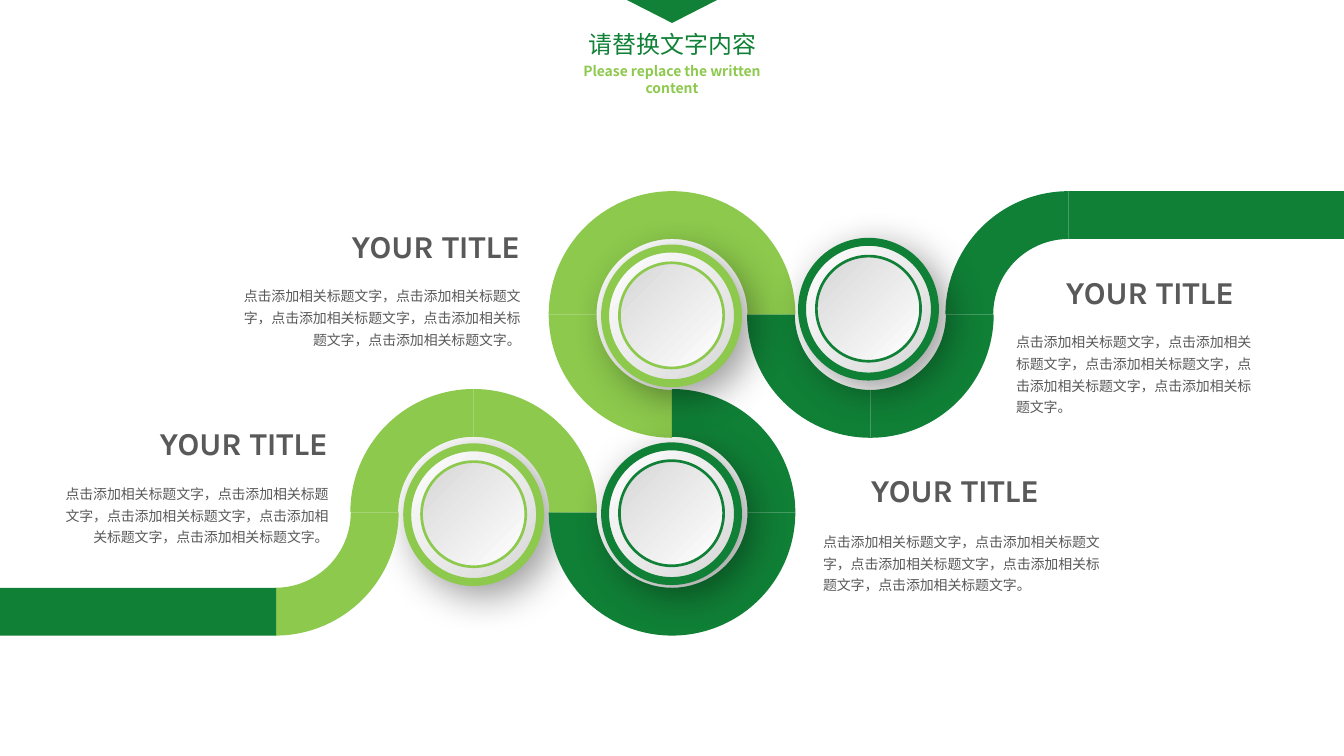
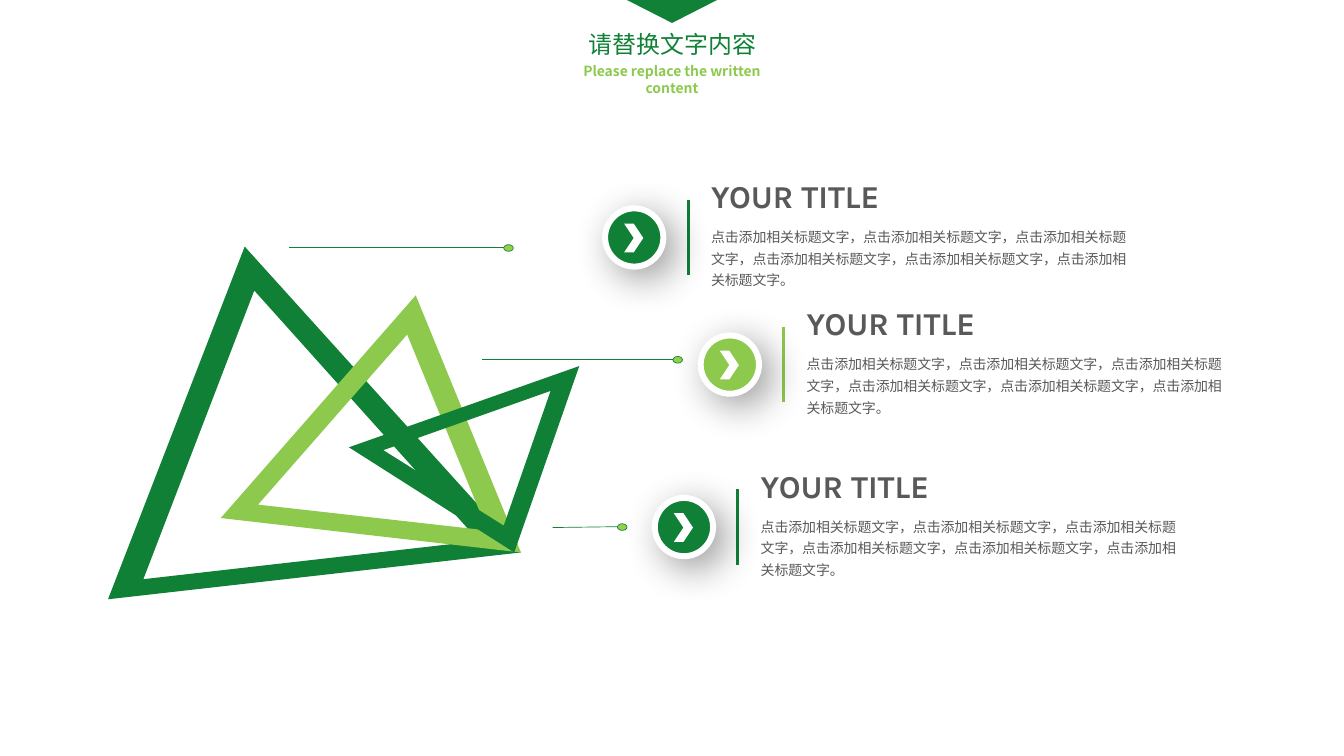
import math
from dataclasses import dataclass
from typing import Optional

from lxml import etree
from pptx import Presentation
from pptx.dml.color import RGBColor
from pptx.enum.shapes import MSO_CONNECTOR, MSO_SHAPE
from pptx.enum.text import MSO_AUTO_SIZE, PP_ALIGN
from pptx.oxml.ns import qn
from pptx.util import Emu, Inches, Pt

ELLIPSE, RECTANGLE = MSO_SHAPE.OVAL, MSO_SHAPE.RECTANGLE
TRIANGLE, CHEVRON = MSO_SHAPE.ISOSCELES_TRIANGLE, MSO_SHAPE.CHEVRON
STRAIGHT = MSO_CONNECTOR.STRAIGHT
LEFT, CENTER, RIGHT = PP_ALIGN.LEFT, PP_ALIGN.CENTER, PP_ALIGN.RIGHT
FIT_TEXT = MSO_AUTO_SIZE.SHAPE_TO_FIT_TEXT

Point = tuple[float, float]


@dataclass(frozen=True)
class Theme:
    dark: str = "108036"
    header: str = "108136"
    light: str = "8CC94C"
    dot: str = "92D050"
    text: str = "595959"
    white: str = "FFFFFF"
    silver: str = "D7D7D7"
    latin: str = "Karla"
    cjk: str = "Noto Sans CJK SC"
    heading_size: float = 24
    header_size: float = 18
    body_size: float = 10.5
    body_spacing: float = 1.3


@dataclass(frozen=True)
class Box:
    left: float
    top: float
    width: float
    height: float

    def emu(self) -> tuple[Emu, Emu, Emu, Emu]:
        return (Inches(self.left), Inches(self.top),
                Inches(self.width), Inches(self.height))


@dataclass(frozen=True)
class TextStyle:
    font: str
    size: float
    color: str
    bold: bool = False
    align: PP_ALIGN = LEFT
    spacing: Optional[float] = None
    inset: float = 0.1
    wrap: bool = True


@dataclass(frozen=True)
class Bend:
    """Quarter rings around one grid point; quarters run clockwise from lower right."""
    column: int
    row: int
    quarters: tuple[int, ...]
    color: str


@dataclass(frozen=True)
class Disc:
    left: float
    top: float
    color: str


@dataclass(frozen=True)
class Caption:
    heading: Box
    body: Box
    align: PP_ALIGN


@dataclass(frozen=True)
class Frame:
    outer: tuple[Point, ...]
    inner: tuple[Point, ...]
    color: str


@dataclass(frozen=True)
class Pointer:
    start: Point
    end: Point


@dataclass(frozen=True)
class Entry:
    x: float
    y: float
    color: str


THEME = Theme()
SLIDE_W, SLIDE_H = 14.06, 7.91
CLAUSE = "点击添加相关标题文字"
HEADING = "YOUR TITLE"

# Ribbon grid
GRID_LEFT, GRID_TOP, COLUMN, ROW = 2.88, 3.29, 2.075, 2.07
OUTER_R, INNER_R = 1.29, 0.79
BAND = OUTER_R - INNER_R
LOWER_RIGHT, LOWER_LEFT, UPPER_LEFT, UPPER_RIGHT = range(4)

BENDS = (
    Bend(4, 0, (UPPER_LEFT,), THEME.dark),
    Bend(3, 0, (LOWER_RIGHT, LOWER_LEFT), THEME.dark),
    Bend(2, 0, (UPPER_RIGHT, UPPER_LEFT, LOWER_LEFT), THEME.light),
    Bend(2, 1, (UPPER_RIGHT, LOWER_RIGHT, LOWER_LEFT), THEME.dark),
    Bend(1, 1, (UPPER_RIGHT, UPPER_LEFT), THEME.light),
    Bend(0, 1, (LOWER_RIGHT,), THEME.light),
)
BACK_DISC = Disc(4.26, 4.68, THEME.light)
FRONT_DISCS = (
    Disc(6.33, 4.67, THEME.dark),
    Disc(6.33, 2.6, THEME.light),
    Disc(8.39, 2.53, THEME.dark),
)
CAPTIONS = (
    Caption(Box(10.29, 2.8, 2.73, 0.51), Box(10.52, 3.39, 2.76, 1.03), LEFT),
    Caption(Box(2.89, 2.32, 2.66, 0.51), Box(2.31, 2.91, 3.25, 0.8), RIGHT),
    Caption(Box(8.3, 4.88, 2.68, 0.51), Box(8.5, 5.48, 3.25, 0.8), LEFT),
    Caption(Box(0.88, 4.38, 2.66, 0.51), Box(0.56, 4.98, 2.99, 0.8), RIGHT),
)

FRAMES = (
    Frame(((2.56, 2.58), (1.13, 6.27), (5.45, 5.78)),
          ((2.66, 3.04), (5.01, 5.66), (1.5, 6.06)), THEME.dark),
    Frame(((4.35, 3.09), (2.31, 5.42), (5.45, 5.78)),
          ((4.26, 3.5), (5.1, 5.55), (2.7, 5.28)), THEME.light),
    Frame(((3.65, 4.68), (5.38, 5.78), (6.06, 3.83)),
          ((5.27, 5.5), (4.01, 4.71), (5.76, 4.09)), THEME.dark),
)
POINTERS = (Pointer((3.02, 2.59), (5.32, 2.59)),
            Pointer((5.04, 3.76), (7.09, 3.76)),
            Pointer((5.78, 5.52), (6.51, 5.51)))
ENTRIES = (Entry(7.2, 2.09, THEME.dark), Entry(7.72, 5.12, THEME.dark),
           Entry(8.2, 3.42, THEME.light))


def rgb(color: str) -> RGBColor:
    return RGBColor.from_string(color)


def clauses(count: int) -> str:
    return "，".join([CLAUSE] * count) + "。"


def paint(shape, fill: str, line: Optional[str] = None, weight: float = 0) -> None:
    shape.shadow.inherit = False
    shape.fill.solid()
    shape.fill.fore_color.rgb = rgb(fill)
    if line is None:
        shape.line.fill.background()
    else:
        shape.line.color.rgb = rgb(line)
        shape.line.width = Pt(weight)


def add_shape(slide, kind, box: Box, fill: str,
              line: Optional[str] = None, weight: float = 0):
    shape = slide.shapes.add_shape(kind, *box.emu())
    paint(shape, fill, line, weight)
    return shape


def add_soft_shadow(shape) -> None:
    effects = shape.element.spPr.find(qn("a:effectLst"))
    shadow = etree.SubElement(
        effects, qn("a:outerShdw"), blurRad=str(Pt(30)), dist=str(Pt(10)),
        dir=str(45 * 60000), algn="tl", rotWithShape="0")
    color = etree.SubElement(shadow, qn("a:srgbClr"), val="000000")
    etree.SubElement(color, qn("a:alpha"), val="40000")


def add_line(slide, start: Point, end: Point, color: str, weight: float) -> None:
    points = (Inches(value) for value in (*start, *end))
    line = slide.shapes.add_connector(STRAIGHT, *points)
    line.line.color.rgb = rgb(color)
    line.line.width = Pt(weight)
    etree.SubElement(line.element.spPr, qn("a:effectLst"))


def add_outline(slide, contours, color: str):
    paths = [[(Inches(x), Inches(y)) for x, y in contour] for contour in contours]
    builder = slide.shapes.build_freeform(*paths[0][0])
    builder.add_line_segments(paths[0][1:], close=True)
    for hole in paths[1:]:
        builder.move_to(*hole[0])
        builder.add_line_segments(hole[1:], close=True)
    shape = builder.convert_to_shape()
    paint(shape, color)
    return shape


def add_text(slide, box: Box, text: str, style: TextStyle) -> None:
    frame = slide.shapes.add_textbox(*box.emu()).text_frame
    frame.word_wrap = style.wrap
    frame.auto_size = FIT_TEXT
    frame.margin_left = frame.margin_right = Inches(style.inset)
    frame.margin_top = frame.margin_bottom = Inches(0.05)
    frame.text = text
    paragraph = frame.paragraphs[0]
    paragraph.alignment = style.align
    if style.spacing is not None:
        paragraph.line_spacing = style.spacing
    font = paragraph.runs[0].font
    font.name, font.size, font.bold = style.font, Pt(style.size), style.bold
    font.color.rgb = rgb(style.color)
    etree.SubElement(font._element, qn("a:ea"), typeface=style.font)


def heading_style(align: PP_ALIGN, inset: float) -> TextStyle:
    return TextStyle(THEME.latin, THEME.heading_size, THEME.text, True, align, inset=inset)


def body_style(align: PP_ALIGN, inset: float) -> TextStyle:
    return TextStyle(THEME.cjk, THEME.body_size, THEME.text, False, align,
                     THEME.body_spacing, inset)


def add_header(slide) -> None:
    add_text(slide, Box(5.89, 0.61, 2.28, 0.28), "Please replace the written content",
             TextStyle(THEME.cjk, THEME.body_size, THEME.light, True, CENTER))
    add_text(slide, Box(6.05, 0.26, 1.97, 0.4), "请替换文字内容",
             TextStyle(THEME.cjk, THEME.header_size, THEME.header, align=CENTER, wrap=False))
    add_shape(slide, TRIANGLE, Box(6.52, -0.02, 1.02, 0.26), THEME.header).rotation = 180


def add_quarter_ring(slide, x: float, y: float, quarter: int, color: str) -> None:
    """Draw each arc as two cubic curves of an eighth turn."""
    eighth = math.pi / 4
    handle = 4 / 3 * math.tan(eighth / 4)
    angles = [(2 * quarter + step) * eighth for step in range(3)]
    nodes = [(OUTER_R, a) for a in angles] + [(INNER_R, a) for a in reversed(angles)]
    ring = add_outline(slide, [[(x + r * math.cos(a), y + r * math.sin(a))
                                for r, a in nodes]], color)
    segments = list(ring.element.iter(qn("a:lnTo")))
    for segment, (r, start), (end_r, end) in zip(segments, nodes, nodes[1:]):
        if r != end_r:
            continue
        segment.tag = qn("a:cubicBezTo")
        turn = math.copysign(handle, end - start)
        for index, (angle, pull) in enumerate(((start, turn), (end, -turn))):
            control_x = x + r * (math.cos(angle) - pull * math.sin(angle))
            control_y = y + r * (math.sin(angle) + pull * math.cos(angle))
            control = etree.Element(qn("a:pt"), x=str(Inches(control_x) - ring.left),
                                    y=str(Inches(control_y) - ring.top))
            segment.insert(index, control)


def add_disc(slide, disc: Disc) -> None:
    rim = Box(disc.left, disc.top, 1.39, 1.41)
    core = Box(disc.left + 0.15, disc.top + 0.15, 1.09, 1.1)
    for box, weight, angle in ((rim, 6, 315), (core, 2, 135)):
        plate = add_shape(slide, ELLIPSE, box, THEME.white, disc.color, weight)
        plate.fill.gradient()
        plate.fill.gradient_angle = angle
        for stop, color in zip(plate.fill.gradient_stops, (THEME.white, THEME.silver)):
            stop.color.rgb = rgb(color)
        if box is rim:
            add_soft_shadow(plate)


def add_pointer(slide, pointer: Pointer) -> None:
    add_line(slide, pointer.end, pointer.start, THEME.dark, 0.5)
    x, y = pointer.end
    add_shape(slide, ELLIPSE, Box(x - 0.05, y - 0.03, 0.1, 0.07), THEME.dot, THEME.dark, 0.5)


def add_entry(slide, entry: Entry) -> None:
    x, y = entry.x, entry.y
    add_line(slide, (x, y), (x, y + 0.79), entry.color, 2.25)
    add_text(slide, Box(x + 0.14, y + 0.2, 4.63, 0.79), clauses(6), body_style(LEFT, 0.1))
    add_text(slide, Box(x + 0.14, y - 0.29, 3.32, 0.5), HEADING, heading_style(LEFT, 0.1))
    badge = add_shape(slide, ELLIPSE, Box(x - 0.87, y + 0.09, 0.61, 0.61),
                      entry.color, THEME.white, 4.5)
    add_soft_shadow(badge)
    add_shape(slide, CHEVRON, Box(x - 0.67, y + 0.25, 0.2, 0.3), THEME.white)


def build_ribbon_slide(slide) -> None:
    add_disc(slide, BACK_DISC)
    for bend in BENDS:
        for quarter in bend.quarters:
            add_quarter_ring(slide, GRID_LEFT + bend.column * COLUMN,
                             GRID_TOP + bend.row * ROW, quarter, bend.color)
    # Straight ends of the ribbon
    for box in (Box(SLIDE_W - GRID_LEFT, GRID_TOP - OUTER_R, GRID_LEFT, BAND),
                Box(0, GRID_TOP + ROW + INNER_R, GRID_LEFT + 0.01, BAND)):
        add_shape(slide, RECTANGLE, box, THEME.dark)
    for caption in CAPTIONS:
        add_text(slide, caption.heading, HEADING, heading_style(RIGHT, 0.11))
        add_text(slide, caption.body, clauses(5), body_style(caption.align, 0.11))
    for disc in FRONT_DISCS:
        add_disc(slide, disc)
    add_header(slide)


def build_triangle_slide(slide) -> None:
    for frame in FRAMES[:2]:
        add_outline(slide, (frame.outer, frame.inner), frame.color)
    for pointer in POINTERS:
        add_pointer(slide, pointer)
    add_outline(slide, (FRAMES[2].outer, FRAMES[2].inner), FRAMES[2].color)
    for entry in ENTRIES:
        add_entry(slide, entry)
    add_header(slide)


def main() -> None:
    deck = Presentation()
    deck.slide_width, deck.slide_height = Inches(SLIDE_W), Inches(SLIDE_H)
    for build in (build_ribbon_slide, build_triangle_slide):
        build(deck.slides.add_slide(deck.slide_layouts[6]))
    deck.save("out.pptx")


if __name__ == "__main__":
    main()
